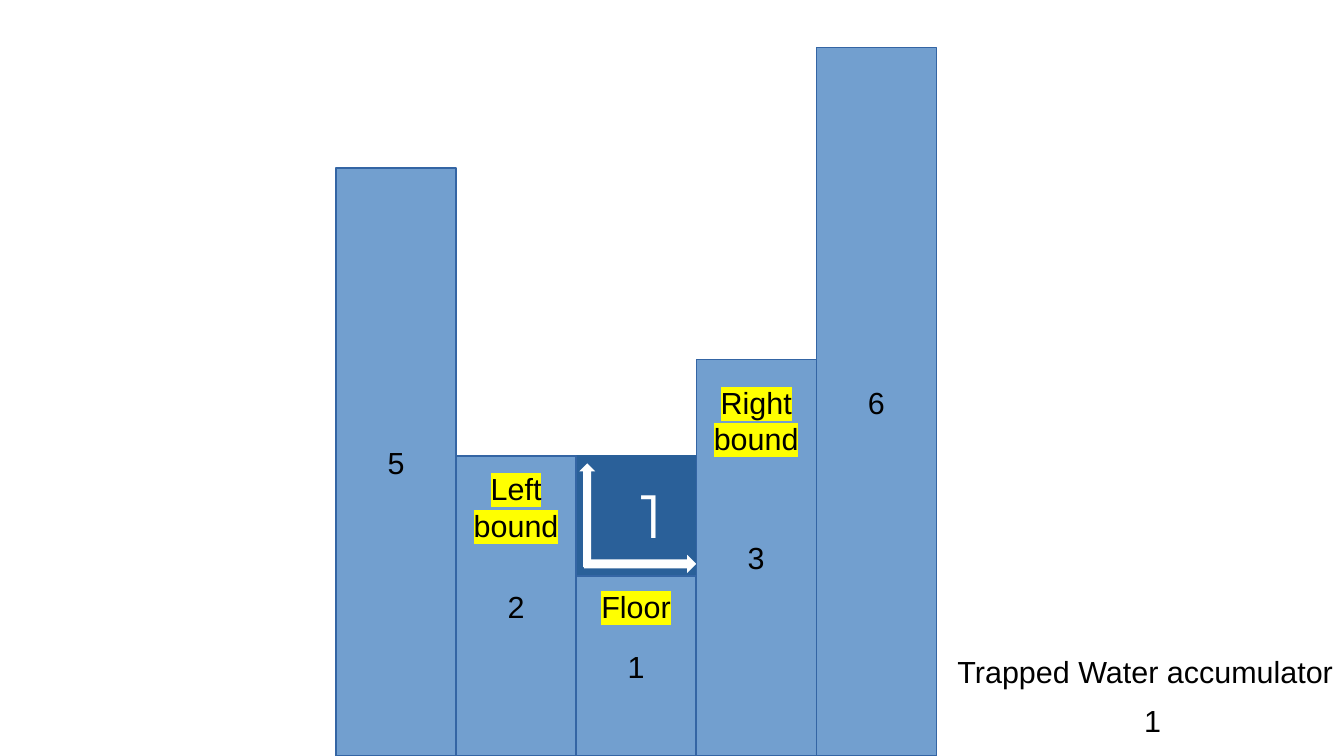
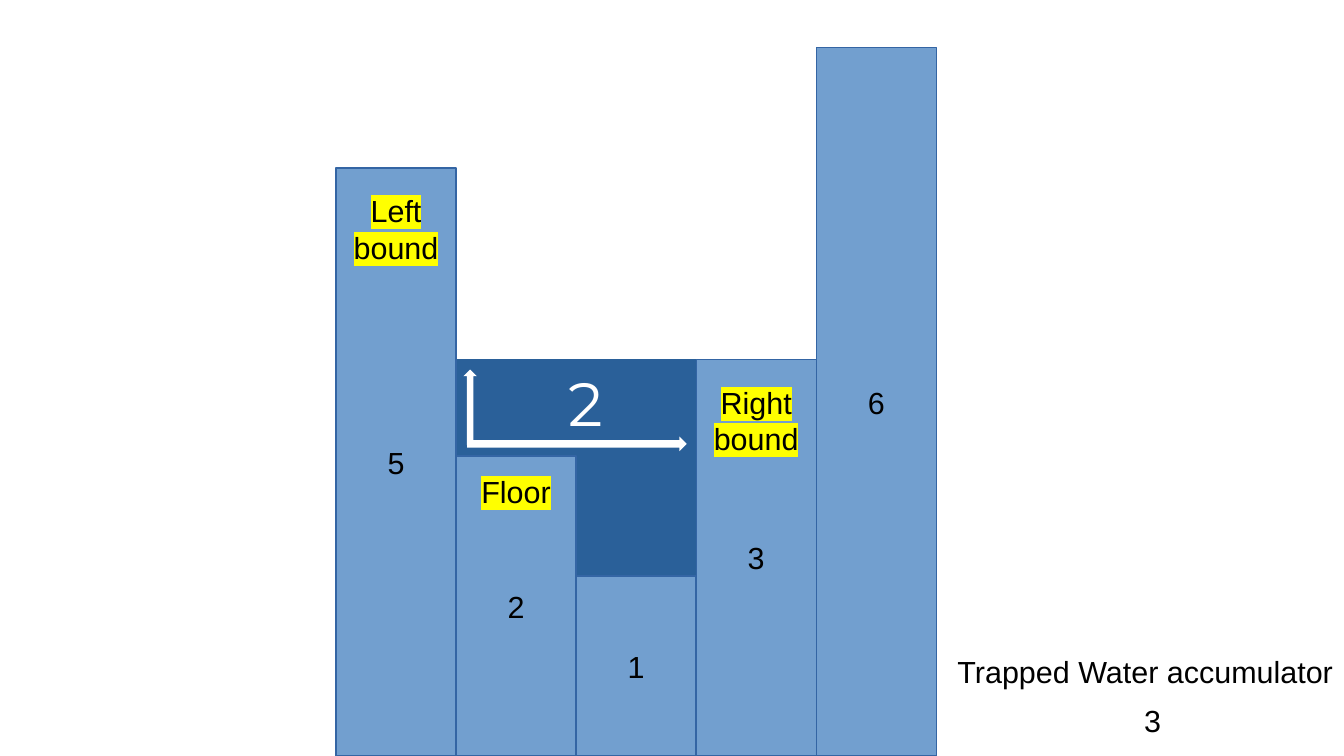
"""Build two slides that trace trapped water between columns."""
from lxml.etree import Element, SubElement
from pptx import Presentation
from pptx.dml.color import RGBColor
from pptx.enum.shapes import MSO_SHAPE
from pptx.enum.text import MSO_ANCHOR, PP_ALIGN
from pptx.oxml.ns import qn
from pptx.util import Pt

COLORS = {
    "water": "2A6099",
    "column": "729FCF",
    "outline": "3465A4",
    "arrow": "FFFFFF",
    "text": "000000",
    "highlight": "FFFF00",
}
SLIDE_WIDTH, SLIDE_HEIGHT = 793.44, 446.4
COLUMN_LEFT, COLUMN_WIDTH = 198.4, 70.87
COLUMNS = [("5", 347.2), ("2", 177.2), ("1", 106.3), ("3", 234.2), ("6", 418.1)]
WATER_BOTTOM = 343.4
LINE_HEIGHT, LABEL_PADDING = 22.2, 6.6

STEPS = [
    {
        "water_level": 177.2,
        "arrows": [
            (MSO_SHAPE.UP_ARROW, (342, 273.6, 9.4, 61.2)),
            (MSO_SHAPE.RIGHT_ARROW, (344.9, 327.6, 66.2, 10.8)),
        ],
        "added": ("1", (352.8, 278.6, 45.4, 51)),
        "labels": [("Floor", 2, 3.6), ("Left\nbound", 1, 5), ("Right\nbound", 3, 10.8)],
        "total": "1",
    },
    {
        "water_level": 234.2,
        "arrows": [
            (MSO_SHAPE.RIGHT_ARROW, (275.8, 257.8, 129.6, 8.6)),
            (MSO_SHAPE.UP_ARROW, (273.6, 218.2, 7.9, 44.6)),
        ],
        "added": ("2", (317.5, 212.4, 45.4, 51)),
        "labels": [("Floor", 1, 6.5), ("Left\nbound", 0, 10.8), ("Right\nbound", 3, 10.8)],
        "total": "3",
    },
]


class WaterDeck:
    """Hold the deck style and the current slide."""

    def __init__(self):
        self.deck = Presentation()
        self.deck.slide_width = Pt(SLIDE_WIDTH)
        self.deck.slide_height = Pt(SLIDE_HEIGHT)
        self.slide = None

    def add_slide(self):
        self.slide = self.deck.slides.add_slide(self.deck.slide_layouts[6])

    def shape(self, kind, place, fill, line=None):
        shape = self.slide.shapes.add_shape(kind, *map(Pt, place))
        shape.shadow.inherit = False
        shape.fill.solid()
        shape.fill.fore_color.rgb = RGBColor.from_string(COLORS[fill])
        if line:
            shape.line.color.rgb = RGBColor.from_string(COLORS[line])
            shape.line.width = Pt(0)
        else:
            shape.line.fill.background()
        return shape

    def set_text(self, frame, text, size=18, font="Arial", color="text",
                 align=PP_ALIGN.CENTER, highlight=None):
        frame.word_wrap = True
        frame.text = text
        for para in frame.paragraphs:
            para.alignment = align
            for span in para.runs:
                span.font.size = Pt(size)
                span.font.name = font
                span.font.color.rgb = RGBColor.from_string(COLORS[color])
                if highlight:
                    mark = Element(qn("a:highlight"))
                    SubElement(mark, qn("a:srgbClr"), val=COLORS[highlight])
                    span.font._element.find(qn("a:solidFill")).addnext(mark)

    def text(self, text, place, **style):
        box = self.slide.shapes.add_textbox(*map(Pt, place))
        self.set_text(box.text_frame, text, **style)

    def column(self, index):
        text, height = COLUMNS[index]
        place = (column_left(index), SLIDE_HEIGHT - height, COLUMN_WIDTH, height)
        column = self.shape(MSO_SHAPE.RECTANGLE, place, "column", "outline")
        column.text_frame.vertical_anchor = MSO_ANCHOR.MIDDLE
        self.set_text(column.text_frame, text)

    def label(self, text, index, gap):
        top = SLIDE_HEIGHT - COLUMNS[index][1] + gap
        height = LABEL_PADDING + LINE_HEIGHT * len(text.split("\n"))
        self.text(text, (column_left(index), top, COLUMN_WIDTH, height),
                  highlight="highlight")

    def water(self, level):
        top = SLIDE_HEIGHT - level
        place = (column_left(1), top, 3 * COLUMN_WIDTH, WATER_BOTTOM - top)
        self.shape(MSO_SHAPE.RECTANGLE, place, "water", "water")

    def accumulator(self, total):
        self.text("Trapped Water accumulator", (530.6, 382.3, 263.5, 28.8),
                  align=PP_ALIGN.RIGHT)
        self.text(total, (655.9, 411.1, 49, 28.8))


def column_left(index):
    """Return the left edge of a column."""
    return COLUMN_LEFT + index * COLUMN_WIDTH


def main():
    """Draw every step and save the deck."""
    page = WaterDeck()
    for step in STEPS:
        page.add_slide()
        page.water(step["water_level"])
        for kind, place in step["arrows"]:
            page.shape(kind, place, "arrow")
        page.text(*step["added"], size=36, font="Montserrat", color="arrow",
                  align=PP_ALIGN.RIGHT)
        for index in range(len(COLUMNS)):
            page.column(index)
        for label in step["labels"]:
            page.label(*label)
        page.accumulator(step["total"])
    page.deck.save("out.pptx")


if __name__ == "__main__":
    main()
